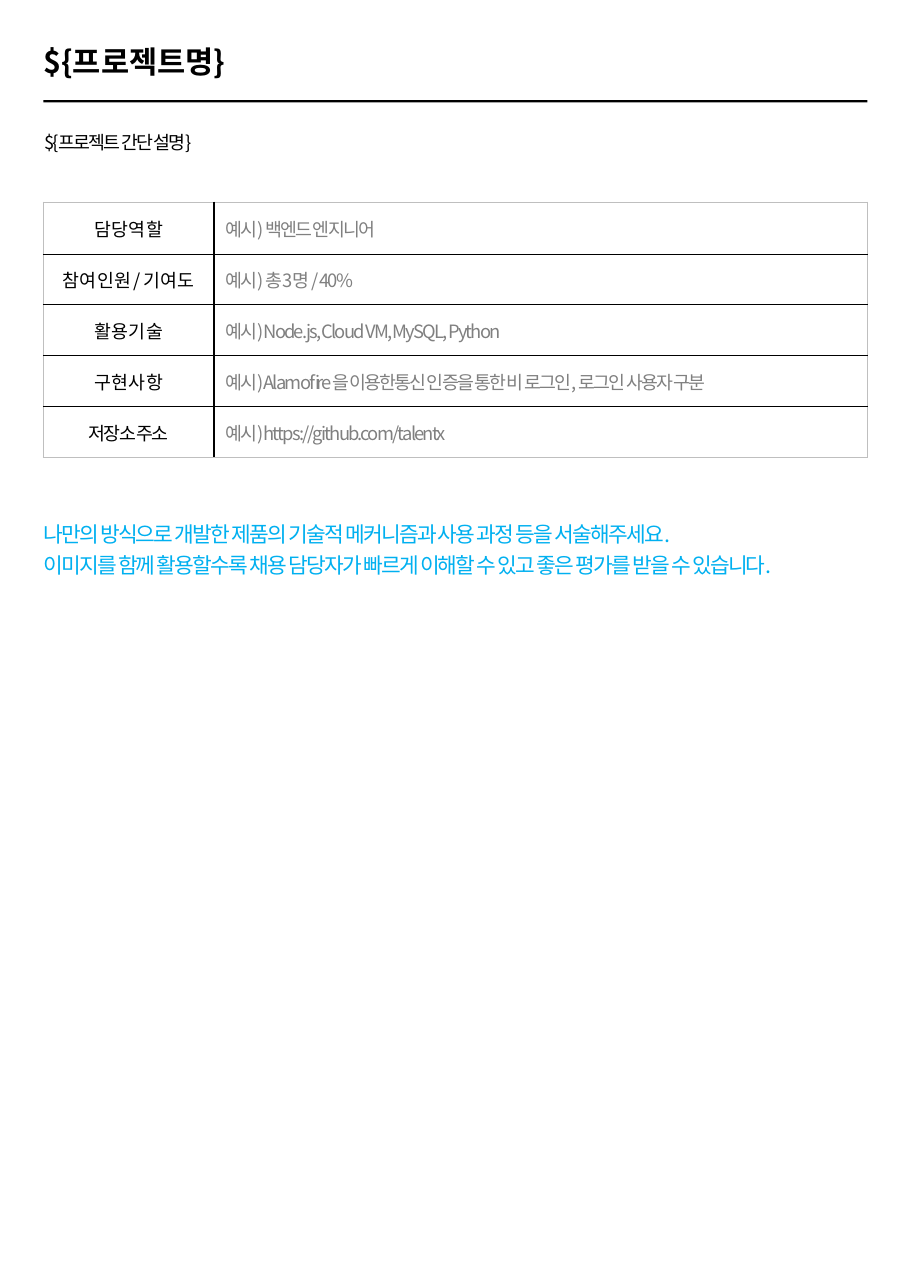
from lxml.etree import SubElement
from pptx import Presentation
from pptx.dml.color import RGBColor
from pptx.enum.shapes import MSO_SHAPE
from pptx.enum.text import MSO_ANCHOR, PP_ALIGN
from pptx.oxml import parse_xml
from pptx.oxml.ns import nsdecls, qn
from pptx.util import Pt

FONT = "Noto Sans CJK KR"
BLACK, GRAY, BLUE, PALE = "000000", "808080", "00B0F0", "BFBFBF"
LEFT, WIDTH = 28.3, 538.6
COLUMNS = [111.6, 427]
FIRST_ROW, OTHER_ROW = 34, 33.3
TIGHT = -1.2

FACTS = [
    ("담 당 역 할", "예시) 백엔드 엔지니어"),
    ("참 여 인 원 / 기 여 도", "예시) 총3명 / 40%"),
    ("활 용 기 술", "예시) Node.js, Cloud VM, MySQL, Python"),
    ("구 현 사 항", "예시) Alamofire을 이용한통신 인증을 통한 비 로그인, 로그인 사용자 구분"),
    ("저장소 주소", "예시) https://github.com/talentx"),
]
GUIDE = [
    "나만의 방식으로 개발한 제품의 기술적 메커니즘과 사용 과정 등을 서술해주세요.",
    "이미지를 함께 활용할수록 채용 담당자가 빠르게 이해할 수 있고 좋은 평가를 받을 수 있습니다.",
]


def color(value):
    return RGBColor.from_string(value)


def write(paragraph, text, size=12, fill=BLACK, bold=False, tracking=0,
          align=PP_ALIGN.LEFT, line_spacing=1.0):
    paragraph.alignment = align
    paragraph.line_spacing = line_spacing
    span = paragraph.add_run()
    span.text = text
    span.font.size = Pt(size)
    span.font.bold = bold
    span.font.name = FONT
    span.font.color.rgb = color(fill)
    properties = span.font._element
    SubElement(properties, qn("a:ea")).set("typeface", FONT)
    # Pair kerning off keeps the word gaps open
    properties.set("kern", "0")
    if tracking:
        properties.set("spc", str(round(tracking * 100)))


def add_text(page, lines, left, top, width, height, **style):
    box = page.shapes.add_textbox(Pt(left), Pt(top), Pt(width), Pt(height))
    frame = box.text_frame
    frame.word_wrap = True
    frame.margin_left = frame.margin_right = 0
    frame.margin_top = frame.margin_bottom = 0
    for index, line in enumerate(lines):
        paragraph = frame.add_paragraph() if index else frame.paragraphs[0]
        write(paragraph, line, **style)


def add_rule(page, top, height):
    rule = page.shapes.add_shape(
        MSO_SHAPE.RECTANGLE, Pt(LEFT), Pt(top), Pt(WIDTH), Pt(height))
    rule.shadow.inherit = False
    rule.fill.solid()
    rule.fill.fore_color.rgb = color(BLACK)
    rule.line.fill.background()


def set_borders(cell, borders):
    properties = cell._tc.get_or_add_tcPr()
    for index, (side, (fill, weight)) in enumerate(borders.items()):
        properties.insert(index, parse_xml(
            f'<a:ln{side} {nsdecls("a")} w="{Pt(weight)}"><a:solidFill>'
            f'<a:srgbClr val="{fill}"/></a:solidFill></a:ln{side}>'))


def add_fact_table(page, top):
    last = len(FACTS) - 1
    frame = page.shapes.add_table(
        len(FACTS), len(COLUMNS), Pt(LEFT), Pt(top), Pt(WIDTH),
        Pt(FIRST_ROW + OTHER_ROW * last))
    table = frame.table
    table.first_row = table.horz_banding = False
    for column, width in zip(table.columns, COLUMNS):
        column.width = Pt(width)

    # Pale outer frame, thin row lines, stronger column divider
    outer, inner, divider = (PALE, 0.75), (BLACK, 0.75), (BLACK, 1.5)
    for row, fact in enumerate(FACTS):
        table.rows[row].height = Pt(OTHER_ROW if row else FIRST_ROW)
        for column, text in enumerate(fact):
            cell = table.cell(row, column)
            cell.fill.background()
            cell.vertical_anchor = MSO_ANCHOR.MIDDLE
            is_label = column == 0
            write(cell.text_frame.paragraphs[0], text, tracking=TIGHT,
                  fill=BLACK if is_label else GRAY,
                  align=PP_ALIGN.CENTER if is_label else PP_ALIGN.LEFT)
            set_borders(cell, {
                "L": outer if is_label else divider,
                "R": divider if is_label else outer,
                "T": inner if row else outer,
                "B": inner if row < last else outer,
            })


def main():
    deck = Presentation()
    deck.slide_width, deck.slide_height = Pt(595.44), Pt(841.68)
    page = deck.slides.add_slide(deck.slide_layouts[6])

    # Project heading
    add_text(page, ["${프로젝트명}"], LEFT, 28.3, 466.6, 28.8,
             size=20, bold=True)
    add_rule(page, 65.5, 1.4)
    add_text(page, ["${프로젝트 간단 설명}"], 28.8, 83, 537.8, 19.4,
             tracking=TIGHT, line_spacing=1.2)

    # Project facts
    add_fact_table(page, 132)

    # Writing guide
    add_text(page, GUIDE, LEFT, 337.2, WIDTH, 37.4,
             size=14, fill=BLUE, tracking=TIGHT, line_spacing=1.2)

    deck.save("out.pptx")


if __name__ == "__main__":
    main()
